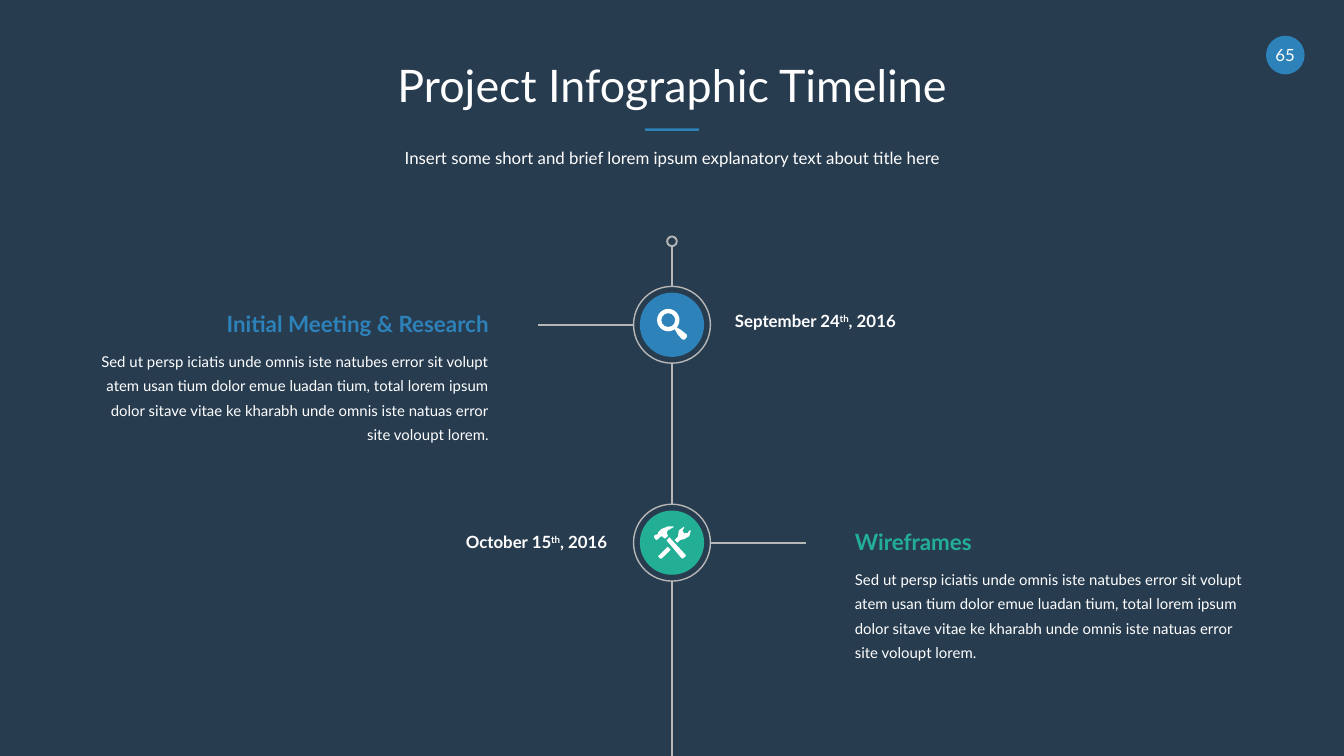
from lxml.etree import SubElement
from pptx import Presentation
from pptx.dml.color import RGBColor
from pptx.enum.shapes import MSO_CONNECTOR, MSO_SHAPE
from pptx.enum.text import MSO_ANCHOR, MSO_AUTO_SIZE, PP_ALIGN
from pptx.oxml.ns import qn
from pptx.util import Pt

COLORS = {
    "background": "283C50",
    "blue": "2D82B9",
    "green": "23AF96",
    "gray": "B7B7B7",
    "white": "FFFFFF",
}
FONT = "Lato"
WIDTH, HEIGHT = 720, 405
MARGIN = 54
AXIS = WIDTH / 2
FIRST_Y, SECOND_Y = 174, 290.75
RING, DISC, END_DOT = 41.2, 34.4, 5.2
TEXT_WIDTH = 208
DESCRIPTION = (
    "Sed ut persp iciatis unde omnis iste natubes error sit volupt atem usan tium dolor "
    "emue luadan tium, total lorem ipsum dolor sitave vitae ke kharabh unde omnis iste "
    "natuas error site voloupt lorem."
)
MAGNIFIER_HANDLE = [(1.4, 2.2), (2.9, 5), (5.5, 7.9), (6.8, 8), (8, 6.5), (7.9, 5.3), (5, 2.9), (2.4, 1.3)]
TOOLS = {
    "wrench handle": [(-7.4, 7.2), (-6.5, 8.4), (-5.6, 8.6), (-0.7, 3.8), (-2.3, 2.2)],
    "wrench head": [
        (10.1, -6.5), (9.4, -6.6), (8.4, -5.2), (6.6, -5), (5.6, -6.4), (6.6, -8.2), (6.4, -8.6),
        (3.7, -6.6), (3.2, -3.2), (1.4, -1.5), (2.9, 0), (4.4, -1.5), (6.5, -1.9), (9.3, -3.5),
    ],
    "hammer handle": [(-1.4, -2.9), (-2.9, -1.2), (5, 8.2), (5.8, 8.5), (7.4, 7.2), (7.2, 6.4)],
    "hammer head": [
        (-6.5, -2.9), (-5.4, -3.5), (-4.3, -2.5), (-3.6, -2.2), (-2, -3.6), (-2.7, -5), (-2.4, -6.4),
        (1, -8.4), (0.8, -8.7), (-2.2, -8.7), (-5.8, -7.2), (-7.3, -5.7), (-7.6, -4.4), (-8.6, -4.3),
        (-9.6, -3.6), (-9.6, -2.9), (-8.6, -1.5), (-8, -1.5), (-7, -2.3),
    ],
}


def color(name):
    return RGBColor.from_string(COLORS[name])


def place(box, left, top, width, height):
    box.left, box.top, box.width, box.height = Pt(left), Pt(top), Pt(width), Pt(height)


def write(box, runs, size, ink="white", bold=False, align=PP_ALIGN.LEFT, spacing=1.0):
    frame = box.text_frame
    frame.word_wrap = True
    frame.auto_size = MSO_AUTO_SIZE.NONE
    frame.vertical_anchor = MSO_ANCHOR.TOP
    frame.margin_left = frame.margin_top = frame.margin_right = frame.margin_bottom = 0
    para = frame.paragraphs[0]
    para.alignment = align
    para.line_spacing = spacing
    para.space_before = Pt(0)
    for text, raised in runs:
        span = para.add_run()
        span.text = text
        span.font.name = FONT
        span.font.size = Pt(size)
        span.font.bold = bold
        span.font.color.rgb = color(ink)
        if raised:
            span._r.get_or_add_rPr().set("baseline", "30000")


def add_text(page, left, top, width, height, runs, size, **style):
    box = page.shapes.add_textbox(Pt(left), Pt(top), Pt(width), Pt(height))
    write(box, runs, size, **style)


def paint(shape, fill=None, line=None, weight=1):
    shape.shadow.inherit = False
    if fill:
        shape.fill.solid()
        shape.fill.fore_color.rgb = color(fill)
    else:
        shape.fill.background()
    if line:
        shape.line.color.rgb = color(line)
        shape.line.width = Pt(weight)
    else:
        shape.line.fill.background()


def add_circle(page, x, y, size, **style):
    corner = Pt(x - size / 2), Pt(y - size / 2)
    circle = page.shapes.add_shape(MSO_SHAPE.OVAL, *corner, Pt(size), Pt(size))
    paint(circle, **style)


def add_line(page, x1, y1, x2, y2):
    line = page.shapes.add_connector(MSO_CONNECTOR.STRAIGHT, Pt(x1), Pt(y1), Pt(x2), Pt(y2))
    line.line.color.rgb = color("gray")
    line.line.width = Pt(1)
    SubElement(line._element.spPr, qn("a:effectLst"))


def add_outline(page, y, offsets):
    points = [(Pt(AXIS + dx), Pt(y + dy)) for dx, dy in offsets]
    builder = page.shapes.build_freeform(*points[0])
    builder.add_line_segments(points[1:], close=True)
    paint(builder.convert_to_shape(), fill="white")


def add_magnifier(page, y):
    lens = page.shapes.add_shape(MSO_SHAPE.DONUT, Pt(AXIS - 8), Pt(y - 8.5), Pt(12), Pt(12))
    lens.adjustments[0] = 0.19
    paint(lens, fill="white")
    add_outline(page, y, MAGNIFIER_HANDLE)


def add_tools(page, y):
    for offsets in TOOLS.values():
        add_outline(page, y, offsets)


def add_milestone(page, y, ink, heading, date, date_left, date_top, side, add_icon):
    align = PP_ALIGN.RIGHT if side < 0 else PP_ALIGN.LEFT
    date_align = PP_ALIGN.LEFT if side < 0 else PP_ALIGN.RIGHT
    text_left = MARGIN if side < 0 else WIDTH - MARGIN - TEXT_WIDTH
    add_circle(page, AXIS, y, DISC, fill=ink)
    add_icon(page, y)
    add_circle(page, AXIS, y, RING, line="gray", weight=0.75)
    add_line(page, AXIS + side * RING / 2, y, AXIS + side * 72, y)
    add_text(page, text_left, y - 7.75, TEXT_WIDTH, 14.4, [(heading, False)], 12, ink=ink, bold=True, align=align)
    add_text(page, text_left, y + 11.75, TEXT_WIDTH, 52.5, [(DESCRIPTION, False)], 8, align=align, spacing=1.35)
    runs = [(date, False), ("th", True), (", 2016", False)]
    add_text(page, date_left, date_top, 116.6, 10.8, runs, 9, bold=True, align=date_align)


def add_header(page):
    title, subtitle = page.shapes.title, page.placeholders[1]
    place(title, MARGIN, 31, WIDTH - 2 * MARGIN, 31.7)
    write(title, [("Project Infographic Timeline", False)], 24, align=PP_ALIGN.CENTER)
    place(subtitle, MARGIN, 79.2, WIDTH - 2 * MARGIN, 12.2)
    summary = "Insert some short and brief lorem ipsum explanatory text about title here"
    write(subtitle, [(summary, False)], 9, align=PP_ALIGN.CENTER)
    rule = page.shapes.add_shape(MSO_SHAPE.RECTANGLE, Pt(AXIS - 14.4), Pt(68.8), Pt(28.8), Pt(1.4))
    paint(rule, fill="blue")
    add_circle(page, 688.6, 29.5, 20.7, fill="blue")
    add_text(page, 679.4, 23.9, 18.2, 10.8, [("65", False)], 9, align=PP_ALIGN.CENTER)


def add_axis(page):
    dot_y = 129.3
    radius = RING / 2
    add_circle(page, AXIS, dot_y, END_DOT, line="gray")
    add_line(page, AXIS, dot_y + END_DOT / 2, AXIS, FIRST_Y - radius)
    add_line(page, AXIS, FIRST_Y + radius, AXIS, SECOND_Y - radius)
    add_line(page, AXIS, SECOND_Y + radius, AXIS, HEIGHT)


def main():
    deck = Presentation()
    deck.slide_width, deck.slide_height = Pt(WIDTH), Pt(HEIGHT)
    page = deck.slides.add_slide(deck.slide_layouts[0])
    page.background.fill.solid()
    page.background.fill.fore_color.rgb = color("background")
    add_header(page)
    add_axis(page)
    add_milestone(page, FIRST_Y, "blue", "Initial Meeting & Research", "September 24", 393.7, 166.5, -1, add_magnifier)
    add_milestone(page, SECOND_Y, "green", "Wireframes", "October 15", 208.7, 285, 1, add_tools)
    deck.save("out.pptx")


if __name__ == "__main__":
    main()
